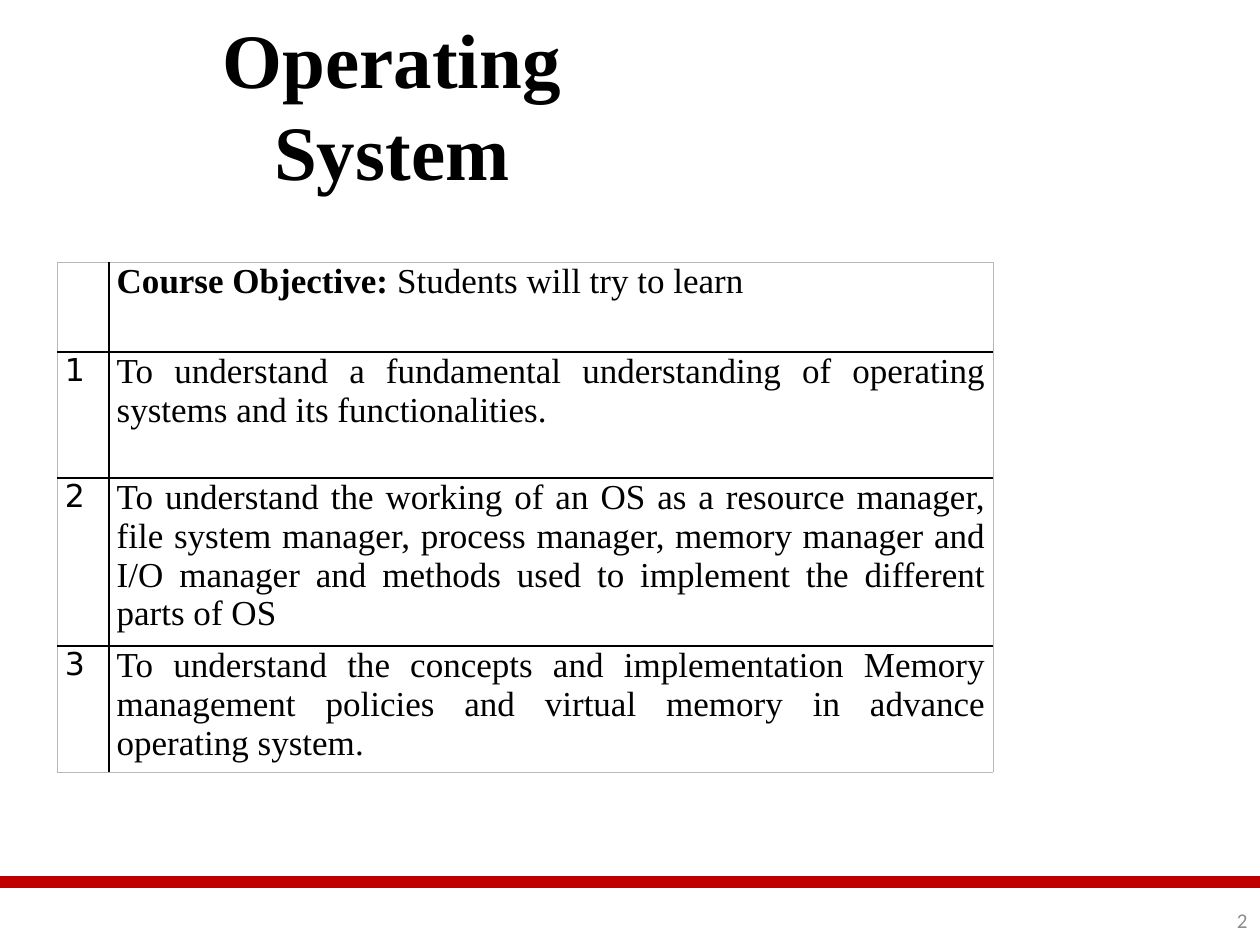
import pptx
import pptx.dml.color
import pptx.enum.text
import pptx.oxml.ns
import pptx.util
import lxml.etree

Pt = pptx.util.Pt
ALIGN = pptx.enum.text.PP_ALIGN
ANCHOR = pptx.enum.text.MSO_ANCHOR
SERIF = "Times New Roman"
BLACK, GRAY, RED, PAGE_GRAY = "000000", "B8B8B8", "C00000", "8C8C8C"

HEADING = [("Course Objective: ", True), ("Students will try to learn", False)]
OBJECTIVES = [
    "To understand a fundamental understanding of operating systems and its functionalities.",
    "To understand the working of an OS as a resource manager, file system manager, process manager, "
    "memory manager and I/O manager and methods used to implement the different parts of OS",
    "To understand the concepts and implementation Memory management policies and virtual memory "
    "in advance operating system.",
]
COLUMN_WIDTHS = [29.6, 505]
ROW_HEIGHTS = [51.4, 72, 96, 72]


def color(code):
    return pptx.dml.color.RGBColor.from_string(code)


def apply(target, values):
    for name, value in values.items():
        setattr(target, name, value)


def write(paragraph, text, size, font, code=BLACK, bold=False):
    run = paragraph.add_run()
    run.text = text
    apply(run.font, {"size": Pt(size), "name": font, "bold": bold})
    run.font.color.rgb = color(code)


def add_xml(parent, tag, **attributes):
    return lxml.etree.SubElement(parent, pptx.oxml.ns.qn(tag), attributes)


def add_rule(slide, left, top, width):
    rule = slide.shapes.add_connector(
        pptx.enum.shapes.MSO_CONNECTOR.STRAIGHT, Pt(left), Pt(top), Pt(left + width), Pt(top))
    rule.line.color.rgb = color(RED)
    rule.line.width = Pt(7)
    add_xml(rule._element.spPr, "a:effectLst")


def add_title(slide, left, top, width, height):
    title = slide.shapes.title
    apply(title, {"left": Pt(left), "top": Pt(top), "width": Pt(width), "height": Pt(height)})
    apply(title.text_frame, {
        "vertical_anchor": ANCHOR.BOTTOM, "word_wrap": True,
        "auto_size": pptx.enum.text.MSO_AUTO_SIZE.NONE,
        "margin_left": Pt(7.2), "margin_right": Pt(7.2),
        "margin_top": Pt(3.6), "margin_bottom": Pt(55.2)})
    heading = title.text_frame.paragraphs[0]
    apply(heading, {"alignment": ALIGN.CENTER, "line_spacing": Pt(52.6)})
    write(heading, "Operating System", 44, SERIF, bold=True)


def format_cell(cell, row, column):
    apply(cell, {"margin_left": Pt(4.3), "margin_right": Pt(4.3), "margin_top": 0,
                 "margin_bottom": 0, "vertical_anchor": ANCHOR.TOP})
    last_row, last_column = len(ROW_HEIGHTS) - 1, len(COLUMN_WIDTHS) - 1
    is_outer = {"a:lnL": column == 0, "a:lnR": column == last_column,
                "a:lnT": row == 0, "a:lnB": row == last_row}
    properties = cell._tc.get_or_add_tcPr()
    for side, outer in is_outer.items():
        border = add_xml(properties, side, w=str(Pt(0.5 if outer else 1)))
        fill = add_xml(border, "a:solidFill")
        add_xml(fill, "a:srgbClr", val=GRAY if outer else BLACK)
    cell.fill.background()


def add_objectives(slide, left, top, width, height):
    objectives = slide.shapes.add_table(
        len(ROW_HEIGHTS), len(COLUMN_WIDTHS), Pt(left), Pt(top), Pt(width), Pt(height)).table
    apply(objectives, {"first_row": False, "horz_banding": False})
    for column, column_width in zip(objectives.columns, COLUMN_WIDTHS):
        column.width = Pt(column_width)
    for row, row_height in zip(objectives.rows, ROW_HEIGHTS):
        row.height = Pt(row_height)
    for row in range(len(ROW_HEIGHTS)):
        for column in range(len(COLUMN_WIDTHS)):
            format_cell(objectives.cell(row, column), row, column)

    heading = objectives.cell(0, 1).text_frame.paragraphs[0]
    for text, bold in HEADING:
        write(heading, text, 20, SERIF, bold=bold)
    for number, objective in enumerate(OBJECTIVES, 1):
        write(objectives.cell(number, 0).text_frame.paragraphs[0], str(number), 18, "DejaVu Sans")
        statement = objectives.cell(number, 1).text_frame.paragraphs[0]
        statement.alignment = ALIGN.JUSTIFY
        write(statement, objective, 20, SERIF)


def add_page_number(slide, left, top, width, height):
    frame = slide.shapes.add_textbox(Pt(left), Pt(top), Pt(width), Pt(height)).text_frame
    apply(frame, {"word_wrap": True, "vertical_anchor": ANCHOR.MIDDLE})
    frame.paragraphs[0].alignment = ALIGN.RIGHT
    write(frame.paragraphs[0], "2", 12, "Calibri", PAGE_GRAY)


def main():
    deck = pptx.Presentation()
    apply(deck, {"slide_width": Pt(720), "slide_height": Pt(540)})
    slide = deck.slides.add_slide(deck.slide_layouts[5])
    add_rule(slide, 0, 504, 720)
    add_title(slide, 92.2, 0, 263.5, 167)
    add_objectives(slide, 32.8, 149.8, sum(COLUMN_WIDTHS), sum(ROW_HEIGHTS))
    add_page_number(slide, 552.2, 511.2, 167.8, 28.8)
    deck.save("out.pptx")


if __name__ == "__main__":
    import pptx.enum.shapes
    main()
